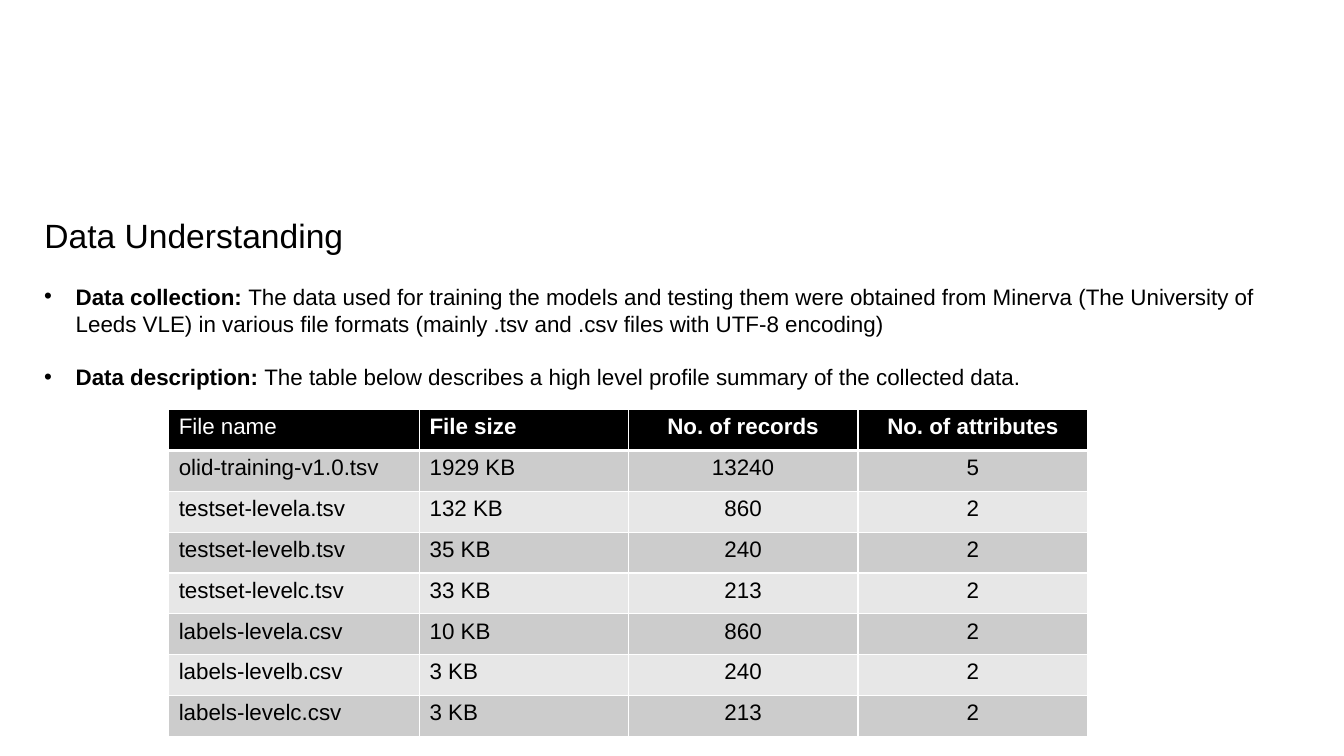
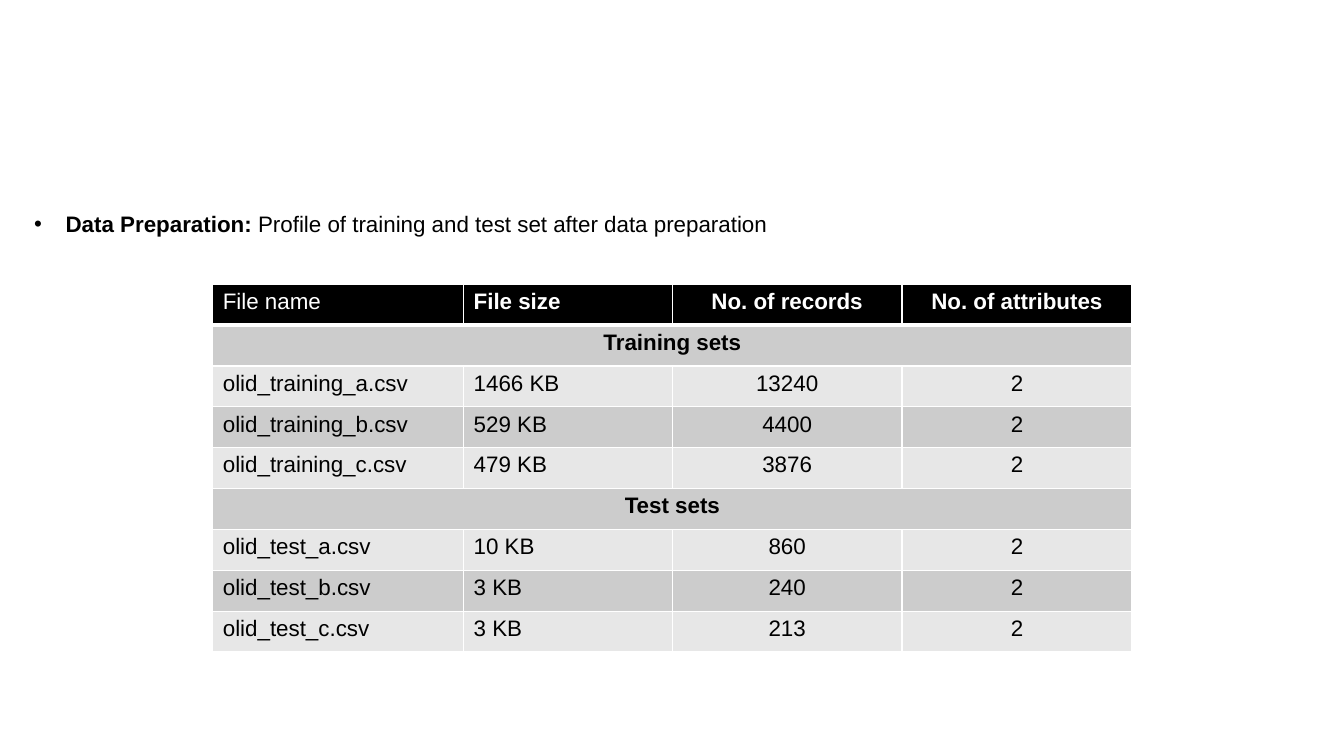
"""Build two slides that profile the data files before and after preparation."""
from lxml import etree
from pptx import Presentation
from pptx import util as u
from pptx.dml import color
from pptx.enum import text
from pptx.oxml import ns

FONT = "Arial"
BLACK, WHITE = "000000", "FFFFFF"
BANDS = ("CCCCCC", "E7E7E7")
BODY_SIZE, TITLE_SIZE = 16, 24
INDENT = 22.5
COLUMN_WIDTHS = (179.2, 149, 164.2, 164.2)
ROW_HEIGHT = 29.2
LEFT, CENTER = text.PP_ALIGN.LEFT, text.PP_ALIGN.CENTER
COLUMN_ALIGNS = (LEFT, LEFT, CENTER, CENTER)

HEADER = ("File name", "File size", "No. of records", "No. of attributes")
COLLECTED = (
    ("olid-training-v1.0.tsv", "1929 KB", "13240", "5"),
    ("testset-levela.tsv", "132 KB", "860", "2"),
    ("testset-levelb.tsv", "35 KB", "240", "2"),
    ("testset-levelc.tsv", "33 KB", "213", "2"),
    ("labels-levela.csv", "10 KB", "860", "2"),
    ("labels-levelb.csv", "3 KB", "240", "2"),
    ("labels-levelc.csv", "3 KB", "213", "2"),
)
PREPARED = (
    ("Training sets",),
    ("olid_training_a.csv", "1466 KB", "13240", "2"),
    ("olid_training_b.csv", "529 KB", "4400", "2"),
    ("olid_training_c.csv", "479 KB", "3876", "2"),
    ("Test sets",),
    ("olid_test_a.csv", "10 KB", "860", "2"),
    ("olid_test_b.csv", "3 KB", "240", "2"),
    ("olid_test_c.csv", "3 KB", "213", "2"),
)
DATA_NOTES = (
    ("Data collection: ",
     "The data used for training the models and testing them were obtained from Minerva "
     "(The University of Leeds VLE) in various file formats "
     "(mainly .tsv and .csv files with UTF-8 encoding)"),
    ("Data description: ",
     "The table below describes a high level profile summary of the collected data."),
)
PREPARATION_NOTES = (
    ("Data Preparation: ", "Profile of training and test set after data preparation"),
)


def rgb(value):
    """Turn a hex string into a colour."""
    return color.RGBColor.from_string(value)


def set_all(target, values):
    """Set each named attribute of the target."""
    for name, value in values.items():
        setattr(target, name, value)


def add_span(para, words, size=BODY_SIZE, bold=False, ink=BLACK):
    """Add a formatted run to a paragraph."""
    span = para.add_run()
    span.text = words
    set_all(span.font, {"name": FONT, "size": u.Pt(size), "bold": bold})
    span.font.color.rgb = rgb(ink)


def add_title(slide, words, left, top, width, height):
    """Place and format the title placeholder."""
    title = slide.shapes.title
    set_all(title, {"left": u.Pt(left), "top": u.Pt(top),
                    "width": u.Pt(width), "height": u.Pt(height)})
    set_all(title.text_frame, {"vertical_anchor": text.MSO_ANCHOR.TOP, "word_wrap": True,
                               "auto_size": text.MSO_AUTO_SIZE.NONE})
    para = title.text_frame.paragraphs[0]
    para.alignment = LEFT
    add_span(para, words, TITLE_SIZE)


def add_bullet(para):
    """Give a paragraph a hanging round bullet."""
    props = para._p.get_or_add_pPr()
    props.set("marL", str(u.Pt(INDENT)))
    props.set("indent", str(-u.Pt(INDENT)))
    etree.SubElement(props, ns.qn("a:buFont"), typeface=FONT)
    etree.SubElement(props, ns.qn("a:buChar"), char="•")


def add_notes(slide, notes, left, top, width, height):
    """Add a box of bullets that each open with a bold label."""
    box = slide.shapes.add_textbox(u.Pt(left), u.Pt(top), u.Pt(width), u.Pt(height))
    frame = box.text_frame
    frame.word_wrap = True
    for index, (label, words) in enumerate(notes):
        para = frame.add_paragraph() if index else frame.paragraphs[0]
        add_bullet(para)
        if index:
            para.space_before = u.Pt(19)
        add_span(para, label, bold=True)
        add_span(para, words)


def add_borders(cell, row):
    """Draw white cell borders, thick below the header row."""
    top, bottom = (3 if row == 1 else 1), (3 if row == 0 else 1)
    props = cell._tc.get_or_add_tcPr()
    for side, width in {"L": 1, "R": 1, "T": top, "B": bottom}.items():
        line = etree.SubElement(props, ns.qn(f"a:ln{side}"), w=str(u.Pt(width)))
        fill = etree.SubElement(line, ns.qn("a:solidFill"))
        etree.SubElement(fill, ns.qn("a:srgbClr"), val=WHITE)


def add_file_table(slide, records, left, top):
    """Add a banded table; a record with one entry spans its whole row."""
    rows = (HEADER, *records)
    frame = slide.shapes.add_table(
        len(rows), len(HEADER), u.Pt(left), u.Pt(top),
        u.Pt(sum(COLUMN_WIDTHS)), u.Pt(ROW_HEIGHT * len(rows)))
    table = frame.table
    for column, width in zip(table.columns, COLUMN_WIDTHS):
        column.width = u.Pt(width)
    for r, entries in enumerate(rows):
        table.rows[r].height = u.Pt(ROW_HEIGHT)
        section = len(entries) == 1
        for c in range(len(HEADER)):
            cell = table.cell(r, c)
            add_borders(cell, r)
            cell.fill.solid()
            cell.fill.fore_color.rgb = rgb(BANDS[(r - 1) % 2] if r else BLACK)
        if section:
            table.cell(r, 0).merge(table.cell(r, len(HEADER) - 1))
        for c, words in enumerate(entries):
            para = table.cell(r, c).text_frame.paragraphs[0]
            para.alignment = CENTER if section else COLUMN_ALIGNS[c]
            add_span(para, words, bold=section or (r == 0 and c > 0),
                     ink=BLACK if r else WHITE)


def main():
    """Build and save the deck."""
    deck = Presentation()
    set_all(deck, {"slide_width": u.Pt(960), "slide_height": u.Pt(540)})
    title_only, blank = deck.slide_layouts[5], deck.slide_layouts[6]

    understanding = deck.slides.add_slide(title_only)
    add_title(understanding, "Data Understanding", 24.5, 150, 916, 36)
    add_notes(understanding, DATA_NOTES, 24.5, 198.5, 916, 84)
    add_file_table(understanding, COLLECTED, 120.5, 292.5)

    preparation = deck.slides.add_slide(blank)
    add_notes(preparation, PREPARATION_NOTES, 17.3, 146.5, 738, 26.7)
    add_file_table(preparation, PREPARED, 152, 203)

    deck.save("out.pptx")


if __name__ == "__main__":
    main()
